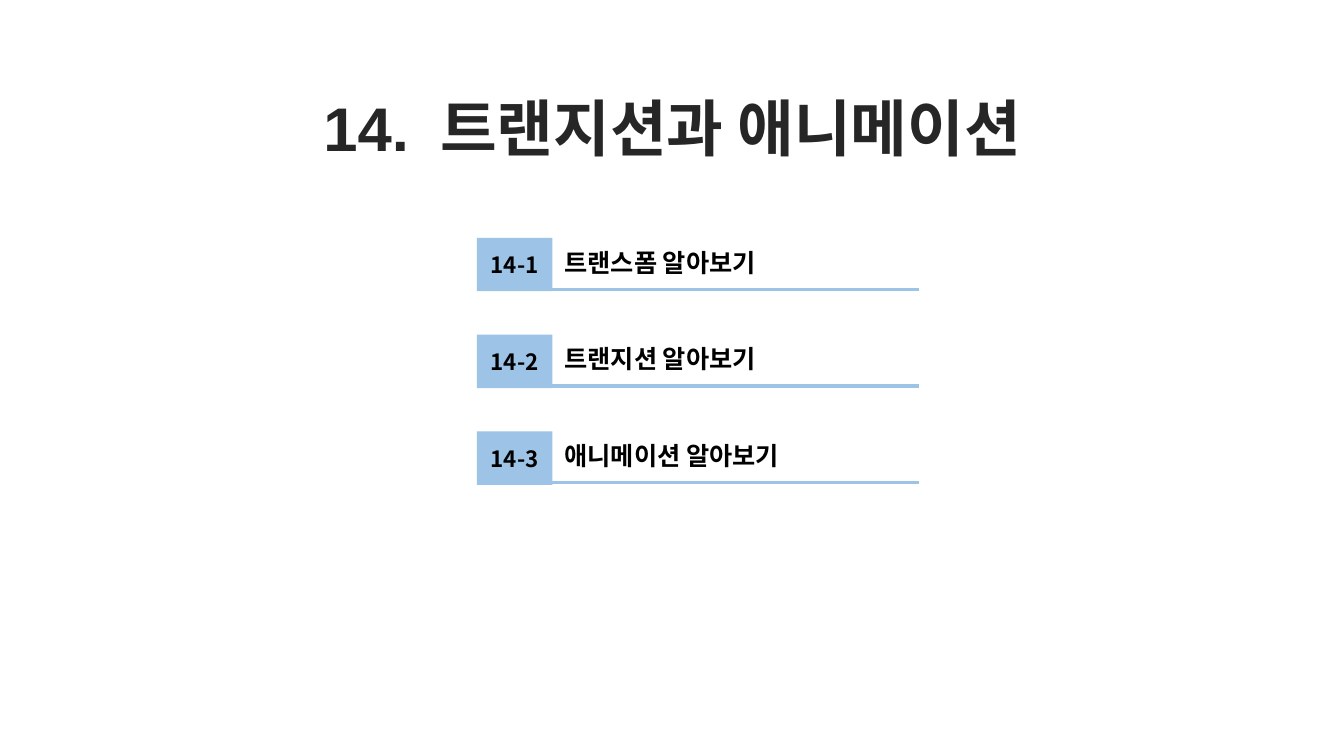
from pptx import Presentation
from pptx.dml.color import RGBColor
from pptx.enum.shapes import MSO_CONNECTOR as CONNECTOR, MSO_SHAPE as SHAPE
from pptx.enum.text import MSO_ANCHOR as ANCHOR, MSO_AUTO_SIZE as AUTO, PP_ALIGN as ALIGN
from pptx.oxml.ns import qn
from pptx.util import Emu, Pt

PX = 9144  # 100 px to the inch
KOREAN = "Noto Sans CJK KR"


def px(n):
    return Emu(n * PX)


def color(value):
    return RGBColor.from_string(value)


def add_text(p, text, size=18, font=KOREAN, fill="000000", bold=True,
             align=ALIGN.LEFT, spacing=0):
    p.alignment = align
    r = p.add_run()
    r.text = text
    r.font.size, r.font.bold, r.font.name = Pt(size), bold, font
    r.font.color.rgb = color(fill)
    rPr = r.font._element
    ea = rPr.makeelement(qn("a:ea"), {"typeface": KOREAN})
    rPr.find(qn("a:latin")).addnext(ea)
    if spacing:
        rPr.set("spc", str(spacing * 100))


class ChapterSlide:
    accent = "9DC3E6"
    ink = "262626"

    def __init__(self, prs):
        self.s = prs.slides.add_slide(prs.slide_layouts[0])
        self.shapes = self.s.shapes
        subtitle = self.s.placeholders[1]._element
        subtitle.getparent().remove(subtitle)

    def title(self, number, text, x, y, w, h):
        sp = self.s.shapes.title
        sp.left, sp.top, sp.width, sp.height = map(px, (x, y, w, h))
        tf = sp.text_frame
        tf.auto_size, tf.vertical_anchor = AUTO.NONE, ANCHOR.BOTTOM
        p = tf.paragraphs[0]
        p.line_spacing = 0.9
        # The space after the number is widened by character spacing
        for part, spacing in ((number, 0), (" ", 10), (text, 0)):
            add_text(p, part, size=44, font="Arial", fill=self.ink,
                     align=ALIGN.CENTER, spacing=spacing)

    def group(self):
        self.shapes = self.s.shapes.add_group_shape().shapes

    def badge(self, text, x, y, w, h):
        sp = self.shapes.add_shape(SHAPE.RECTANGLE, *map(px, (x, y, w, h)))
        sp.shadow.inherit = False
        sp.fill.solid()
        sp.fill.fore_color.rgb = color(self.accent)
        sp.line.fill.background()
        tf = sp.text_frame
        tf.vertical_anchor = ANCHOR.MIDDLE
        add_text(tf.paragraphs[0], text, size=16, align=ALIGN.CENTER)

    def label(self, text, x, y, w, h):
        tf = self.shapes.add_textbox(*map(px, (x, y, w, h))).text_frame
        tf.word_wrap = True
        tf.auto_size = AUTO.SHAPE_TO_FIT_TEXT
        add_text(tf.paragraphs[0], text)

    def rule(self, x1, x2, y):
        line = self.shapes.add_connector(CONNECTOR.STRAIGHT, *map(px, (x1, y, x2, y)))
        line.line.color.rgb = color(self.accent)
        line.line.width = Pt(2.25)
        spPr = line._element.spPr
        spPr.append(spPr.makeelement(qn("a:effectLst"), {}))


def main():
    prs = Presentation()
    prs.slide_width, prs.slide_height = px(1333), px(750)
    chapter = ChapterSlide(prs)

    # Chapter title
    chapter.title("14.", "트랜지션과 애니메이션", 167, 78, 1000, 91)

    # Section list: numbered badge, name and underline
    sections = ("트랜스폼 알아보기", "트랜지션 알아보기", "애니메이션 알아보기")
    top, pitch = 236, 96
    for i, name in enumerate(sections):
        y = top + i * pitch
        chapter.group()
        chapter.badge(f"14-{i + 1}", 473, y, 75, 53)
        chapter.label(name, 550, y + 4, 435, 40)
        chapter.rule(547, 911, y + 51)

    prs.save("out.pptx")


if __name__ == "__main__":
    main()
